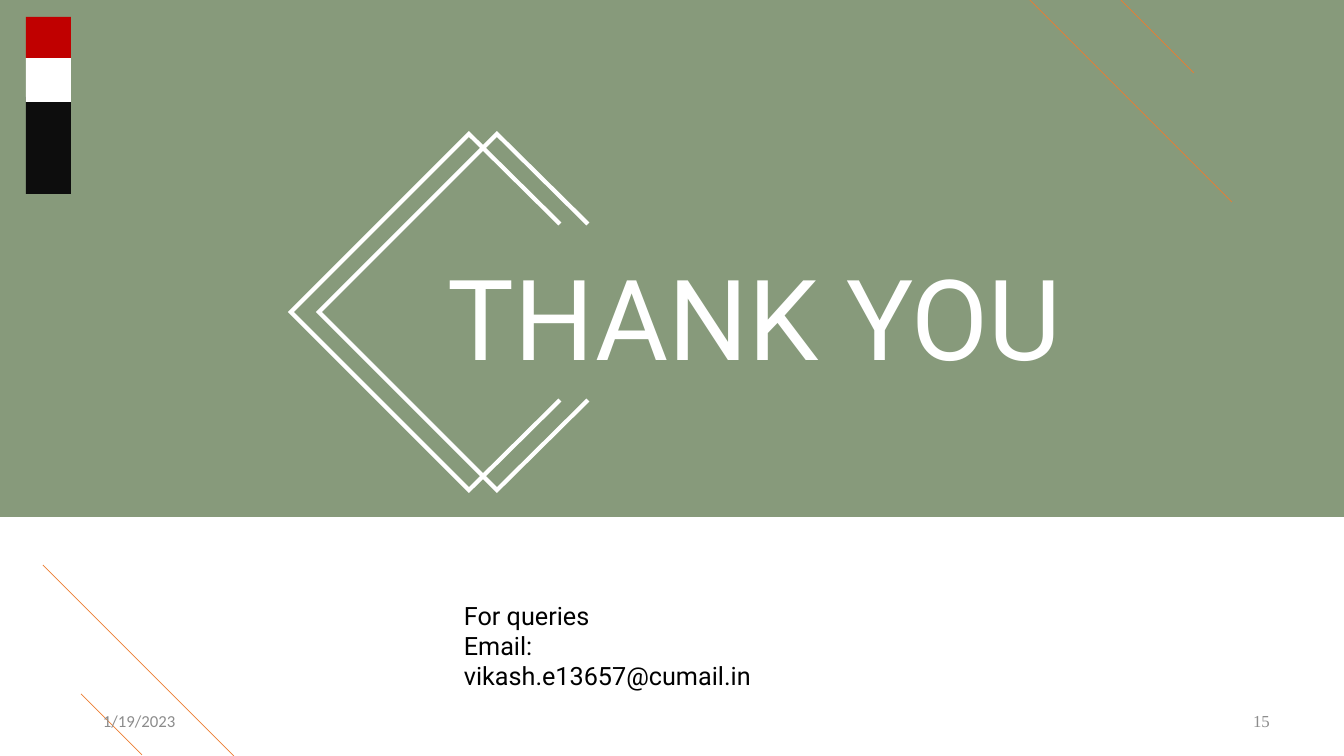
import pptx
import pptx.dml.color
import pptx.enum.shapes
import pptx.enum.text
import pptx.oxml
import pptx.oxml.ns
import pptx.util

# Content, lengths in px
COLORS = {"green": "385723", "orange": "ED7D31", "white": "FFFFFF", "black": "000000",
          "red": "C00000", "ink": "0D0D0D", "gray": "8C8C8C"}
PAGE_SIZE = (1344, 756)
BAND_HEIGHT = 517
BAND_ALPHA = 60
TITLE = ("THANK YOU", (164, 248, 1182, 136))
CONTACT = ["For queries", "Email: vikash.e13657@cumail.in"]
CONTACT_AREA = (454, 595, 353, 72)
FOOTERS = [("15", (1237, 701, 49, 40), "Times New Roman", "CENTER"),
           ("1/19/2023", (93, 701, 302, 40), "Calibri", "LEFT")]
# Diagonals fall at 45 degrees: start x, start y, run
DIAGONALS = [(1030, 0, 202), (1121, 0, 73), (81, 694, 61), (43, 565, 191)]
CHEVRON = [(560, 400), (469, 490), (291, 312), (469, 134), (560, 224)]
CHEVRON_SHIFTS = [0, 28]
FLAG_LEFT, FLAG_WIDTH = 26, 45
# Flag stripes: top, height, colour
STRIPES = [(17, 41, "red"), (97, 97, "ink"), (58, 44, "white")]

SCALE = 914400 / 100.8
NAMESPACE = pptx.oxml.ns.nsdecls("a")
ALIGN = pptx.enum.text.PP_ALIGN
RECTANGLE = pptx.enum.shapes.MSO_SHAPE.RECTANGLE


def emu(*lengths):
    return [pptx.util.Emu(round(length * SCALE)) for length in lengths]


def rgb(name):
    return pptx.dml.color.RGBColor.from_string(COLORS[name])


def add_rectangle(shapes, area, color):
    box = shapes.add_shape(RECTANGLE, *emu(*area))
    box.shadow.inherit = False
    box.fill.solid()
    box.fill.fore_color.rgb = rgb(color)
    box.line.fill.background()
    return box


def write(box, lines, font, size, color, align, anchor):
    frame = box.text_frame
    frame.word_wrap = True
    frame.auto_size = pptx.enum.text.MSO_AUTO_SIZE.NONE
    frame.vertical_anchor = anchor
    for index, line in enumerate(lines):
        para = frame.add_paragraph() if index else frame.paragraphs[0]
        para.alignment = align
        span = para.add_run()
        span.text = line
        span.font.name = font
        span.font.size = pptx.util.Pt(size)
        span.font.color.rgb = rgb(color)


deck = pptx.Presentation()
deck.slide_width, deck.slide_height = emu(*PAGE_SIZE)
page = deck.slides.add_slide(deck.slide_layouts[5])
shapes = page.shapes
middle = pptx.enum.text.MSO_ANCHOR.MIDDLE

# Translucent band
band = add_rectangle(shapes, (0, 0, PAGE_SIZE[0], BAND_HEIGHT), "green")
band_color = band.fill._xPr.find(".//" + pptx.oxml.ns.qn("a:srgbClr"))
band_color.append(pptx.oxml.parse_xml(f'<a:alpha {NAMESPACE} val="{BAND_ALPHA * 1000}"/>'))

# Corner diagonals
for left, top, run in DIAGONALS:
    diagonal = shapes.add_connector(pptx.enum.shapes.MSO_CONNECTOR.STRAIGHT,
                                    *emu(left, top, left + run, top + run))
    diagonal.line.color.rgb = rgb("orange")
    diagonal.line.width = pptx.util.Pt(0.5)
    diagonal.element.spPr.append(pptx.oxml.parse_xml(f"<a:effectLst {NAMESPACE}/>"))

# Title, raised above the band
title = shapes.title
text, area = TITLE
title.left, title.top, title.width, title.height = emu(*area)
write(title, [text], "Roboto", 80, "white", ALIGN.CENTER, middle)
frame = title.text_frame
frame.margin_left = frame.margin_right = frame.margin_top = frame.margin_bottom = 0
title.element.getparent().append(title.element)

# Twin chevrons
for shift in CHEVRON_SHIFTS:
    points = [(x + shift, y) for x, y in CHEVRON]
    builder = shapes.build_freeform(*points[0], scale=SCALE)
    builder.add_line_segments(points[1:], close=False)
    chevron = builder.convert_to_shape()
    chevron.shadow.inherit = False
    chevron.fill.background()
    chevron.line.color.rgb = rgb("white")
    chevron.line.width = pptx.util.Pt(3)
    outline = chevron.element.spPr.find(pptx.oxml.ns.qn("a:ln"))
    outline.append(pptx.oxml.parse_xml(f'<a:miter {NAMESPACE} lim="800000"/>'))

# Contact details
contact = shapes.add_textbox(*emu(*CONTACT_AREA))
write(contact, CONTACT, "Roboto", 18, "black", ALIGN.LEFT, pptx.enum.text.MSO_ANCHOR.TOP)

# Flag
flag = shapes.add_group_shape()
for top, height, color in STRIPES:
    add_rectangle(flag.shapes, (FLAG_LEFT, top, FLAG_WIDTH, height), color)

# Page number and date
for text, area, font, align in FOOTERS:
    footer = shapes.add_textbox(*emu(*area))
    write(footer, [text], font, 12, "gray", ALIGN[align], middle)

deck.save("out.pptx")
